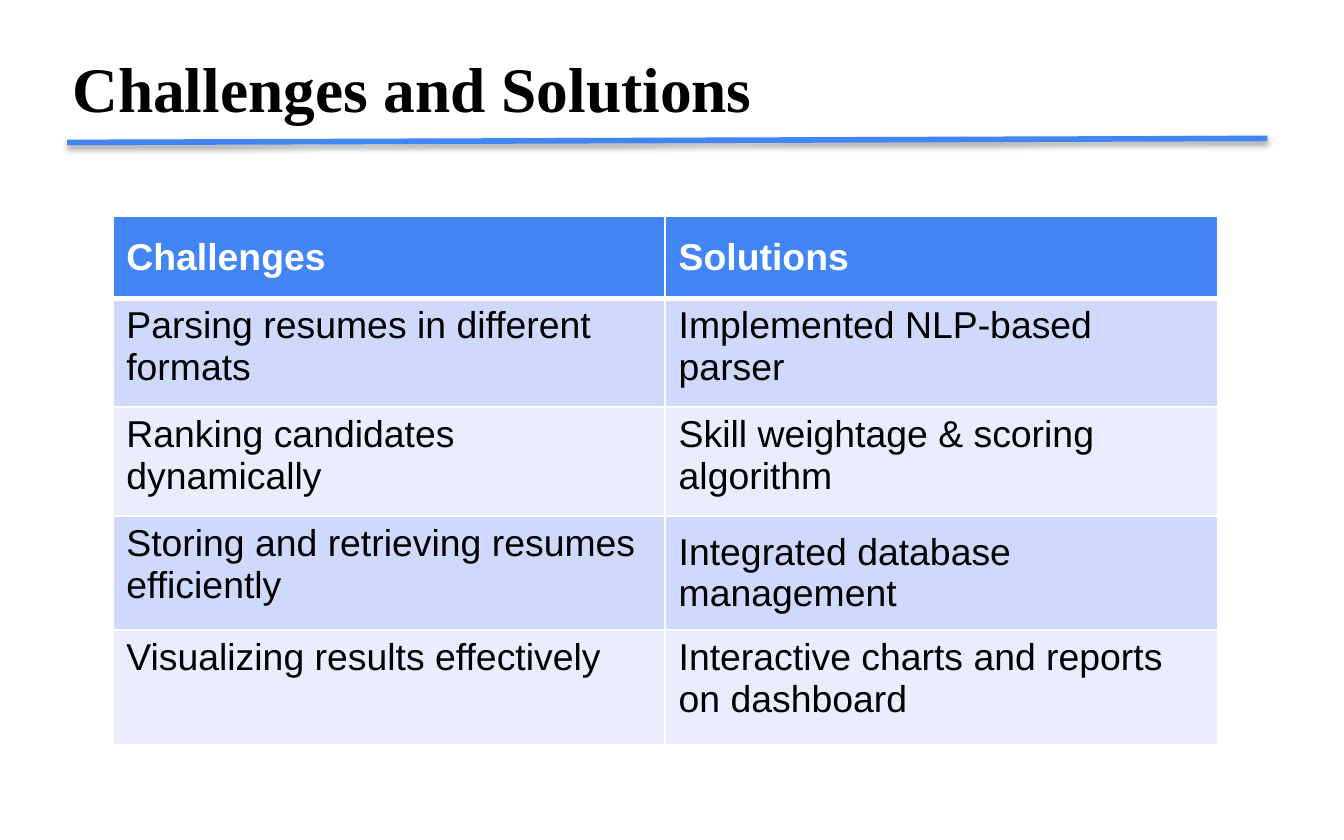
from lxml import etree
from pptx import Presentation
from pptx.dml.color import RGBColor
from pptx.enum.shapes import MSO_CONNECTOR
from pptx.enum.text import MSO_ANCHOR
from pptx.oxml import parse_xml
from pptx.oxml.ns import nsdecls, qn
from pptx.util import Inches, Pt

STRAIGHT = MSO_CONNECTOR.STRAIGHT
TOP, MIDDLE = MSO_ANCHOR.TOP, MSO_ANCHOR.MIDDLE
BLUE, WHITE, BLACK = "4285F4", "FFFFFF", "000000"
BANDS = ("CFD9FB", "E9EDFD")
HEIGHTS = (0.61, 0.81, 0.81, 0.85, 0.85)
ROWS = (
    ("Challenges", "Solutions"),
    ("Parsing resumes in different formats", "Implemented NLP-based parser"),
    ("Ranking candidates dynamically", "Skill weightage & scoring algorithm"),
    ("Storing and retrieving resumes efficiently", "Integrated database management"),
    ("Visualizing results effectively", "Interactive charts and reports on dashboard"),
)
CENTERED = {(0, 0), (0, 1), (3, 1)}


def paint(color, value):
    """Set a colour format from a hex string."""
    color.rgb = RGBColor.from_string(value)


def style(para, name, size, color, bold):
    """Set the font of a whole paragraph."""
    font = para.font
    font.name, font.size, font.bold = name, Pt(size), bold
    paint(font.color, color)


def add_title(slide, text):
    """Add the slide heading."""
    box = slide.shapes.add_textbox(Inches(0.44), Inches(0.33), Inches(9.56), Inches(1.23))
    frame = box.text_frame
    frame.word_wrap = True
    frame.margin_left = frame.margin_right = Inches(0.1)
    frame.margin_top = frame.margin_bottom = Inches(0.1)
    para = frame.paragraphs[0]
    para.text = text
    para.line_spacing = 0.9
    style(para, "Times New Roman", 34, BLACK, True)


def add_rule(slide):
    """Add the heading rule with its soft shadow."""
    rule = slide.shapes.add_connector(
        STRAIGHT, Inches(0.5), Inches(1.06), Inches(9.43), Inches(1.03))
    rule.line.width = Pt(3)
    paint(rule.line.color, BLUE)
    rule.element.spPr.append(parse_xml(
        f'<a:effectLst {nsdecls("a")}>'
        f'<a:outerShdw blurRad="{Pt(3.1)}" dist="{Pt(1.8)}" dir="5400000" rotWithShape="0">'
        f'<a:srgbClr val="{BLACK}"><a:alpha val="35000"/></a:srgbClr>'
        '</a:outerShdw></a:effectLst>'))


def add_edge(cell, side, width):
    """Add one white border to a cell."""
    props = cell._tc.get_or_add_tcPr()
    edge = etree.SubElement(props, qn(f"a:ln{side}"), w=str(Pt(width)))
    fill = etree.SubElement(edge, qn("a:solidFill"))
    etree.SubElement(fill, qn("a:srgbClr"), val=WHITE)


def fill_cell(cell, text, row, col):
    """Write and style one table cell."""
    head = row == 0
    cell.text = text
    cell.vertical_anchor = MIDDLE if (row, col) in CENTERED else TOP
    style(cell.text_frame.paragraphs[0], "Arial", 20, WHITE if head else BLACK, head)
    for side in "LRTB":
        thick = (head and side == "B") or (row == 1 and side == "T")
        add_edge(cell, side, 3 if thick else 1)
    cell.fill.solid()
    paint(cell.fill.fore_color, BLUE if head else BANDS[(row - 1) % 2])


def add_grid(slide):
    """Add the table of challenges and solutions."""
    table = slide.shapes.add_table(
        len(ROWS), 2, Inches(0.84), Inches(1.61), Inches(8.22), Inches(sum(HEIGHTS))).table
    for row, (height, texts) in enumerate(zip(HEIGHTS, ROWS)):
        table.rows[row].height = Inches(height)
        for col, text in enumerate(texts):
            fill_cell(table.cell(row, col), text, row, col)


def main():
    """Build and save the slide."""
    deck = Presentation()
    deck.slide_width, deck.slide_height = Inches(10), Inches(6.25)
    slide = deck.slides.add_slide(deck.slide_layouts[6])
    add_title(slide, "Challenges and Solutions")
    add_rule(slide)
    add_grid(slide)
    deck.save("out.pptx")


if __name__ == "__main__":
    main()
